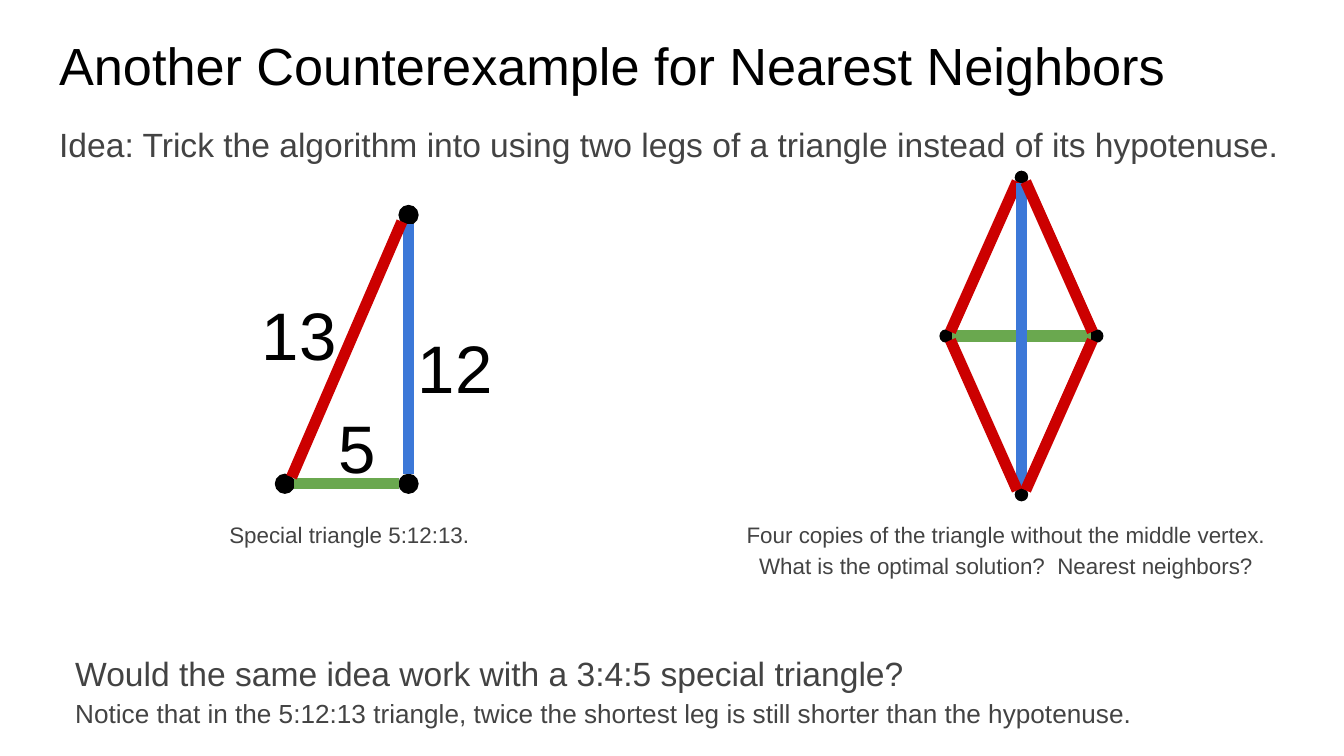
"""Build the slide on a counterexample for the nearest neighbors algorithm."""
from math import copysign, hypot

from lxml.etree import SubElement
from pptx import Presentation
from pptx.dml.color import RGBColor
from pptx.enum.shapes import MSO_CONNECTOR as CONNECTOR, MSO_SHAPE as SHAPE
from pptx.enum.text import MSO_ANCHOR as ANCHOR, MSO_AUTO_SIZE as AUTOSIZE, PP_ALIGN as ALIGN
from pptx.oxml.ns import qn
from pptx.util import Inches, Pt

FONT = "Arial"
BLACK, GRAY = "000000", "434343"
RED, GREEN, BLUE = "CC0000", "6AA84F", "3C78D8"

TITLE = ("Another Counterexample for Nearest Neighbors", 28)
IDEA = ("Idea: Trick the algorithm into using two legs of a triangle instead of its hypotenuse.", 18)
TRIANGLE_CAPTION = ("Special triangle 5:12:13.", 12)
DIAMOND_CAPTION = ("Four copies of the triangle without the middle vertex.  "
                   "What is the optimal solution?  Nearest neighbors? ", 12)
QUESTION = ("Would the same idea work with a 3:4:5 special triangle?", 18)
NOTICE = ("Notice that in the 5:12:13 triangle, twice the shortest leg "
          "is still shorter than the hypotenuse.", 14)

BODIES = [
    ((0.46, 4.71, 9.32, 0.78), ALIGN.LEFT, [QUESTION, NOTICE]),
    ((5.38, 3.75, 4.26, 0.78), ALIGN.CENTER, [DIAMOND_CAPTION]),
    ((0.34, 0.78, 9.44, 1.24), ALIGN.LEFT, [IDEA]),
    ((0.7, 3.75, 3.8, 0.78), ALIGN.CENTER, [TRIANGLE_CAPTION]),
]

GRAPHS = [
    {"diameter": 0.14,
     "vertices": {"top": (3.04, 1.6), "right": (3.04, 3.6), "left": (2.12, 3.6)},
     "edges": [("right", "top", BLUE), ("right", "left", GREEN), ("top", "left", RED)],
     "lengths": [("13", (1.85, 2.08, 0.81, 0.72)), ("12", (3.01, 2.33, 0.77, 0.72)),
                 ("5", (2.42, 2.92, 0.49, 0.72))]},
    {"diameter": 0.09,
     "vertices": {"top": (7.6, 1.32), "left": (7.04, 2.5),
                  "right": (8.16, 2.5), "bottom": (7.6, 3.68)},
     "edges": [("right", "left", GREEN), ("top", "left", RED), ("top", "bottom", BLUE),
               ("bottom", "left", RED), ("bottom", "right", RED), ("top", "right", RED)],
     "lengths": []},
]


def color(value):
    return RGBColor.from_string(value)


def inches(values):
    return [Inches(value) for value in values]


def write(box, place, lines, text_color, align=ALIGN.LEFT, spacing=1.0):
    box.left, box.top, box.width, box.height = inches(place)
    frame = box.text_frame
    frame.text = "\n".join(text for text, _ in lines)
    frame.word_wrap, frame.auto_size = True, AUTOSIZE.NONE
    frame.vertical_anchor = ANCHOR.TOP
    frame.margin_left = frame.margin_right = Inches(0.1)
    frame.margin_top = frame.margin_bottom = Inches(0.1)
    for paragraph, (_, size) in zip(frame.paragraphs, lines):
        paragraph.alignment, paragraph.line_spacing = align, spacing
        paragraph.space_before = paragraph.space_after = Pt(0)
        font = paragraph.runs[0].font
        font.name, font.size, font.bold = FONT, Pt(size), False
        font.color.rgb = color(text_color)


def remove_bullets(box):
    for paragraph in box.text_frame.paragraphs:
        properties = paragraph._p.get_or_add_pPr()
        properties.set("marL", "0")
        properties.set("indent", "0")
        SubElement(properties, qn("a:buNone"))


def rim_point(center, target, radius):
    steps = [copysign(1, b - a) if a != b else 0 for a, b in zip(center, target)]
    return [a + step * radius / hypot(*steps) for a, step in zip(center, steps)]


def draw_graph(shapes, diameter, vertices, edges, lengths):
    radius = diameter / 2
    for x, y in vertices.values():
        dot = shapes.add_shape(SHAPE.OVAL, *inches((x - radius, y - radius, diameter, diameter)))
        dot.shadow.inherit = False
        dot.fill.solid()
        dot.fill.fore_color.rgb = dot.line.color.rgb = color(BLACK)
        dot.line.width = Pt(0.75)
    for start, end, edge_color in edges:
        a, b = vertices[start], vertices[end]
        ends = rim_point(a, b, radius) + rim_point(b, a, radius)
        edge = shapes.add_connector(CONNECTOR.STRAIGHT, *inches(ends))
        edge.line.color.rgb, edge.line.width = color(edge_color), Pt(6)
        SubElement(edge._element.spPr, qn("a:effectLst"))
    for length, place in lengths:
        write(shapes.add_textbox(*inches(place)), place, [(length, 36)], BLACK)


deck = Presentation()
deck.slide_width, deck.slide_height = Inches(10), Inches(10 * 9 / 16)
slide = deck.slides.add_slide(deck.slide_layouts.get_by_name("Comparison"))
title, *bodies = slide.placeholders

write(title, (0.34, 0.15, 9.32, 0.63), [TITLE], BLACK)
for body, (place, align, lines) in zip(bodies, BODIES):
    write(body, place, lines, GRAY, align, 1.15)
    remove_bullets(body)
for graph in GRAPHS:
    draw_graph(slide.shapes.add_group_shape().shapes, **graph)

deck.save("out.pptx")
